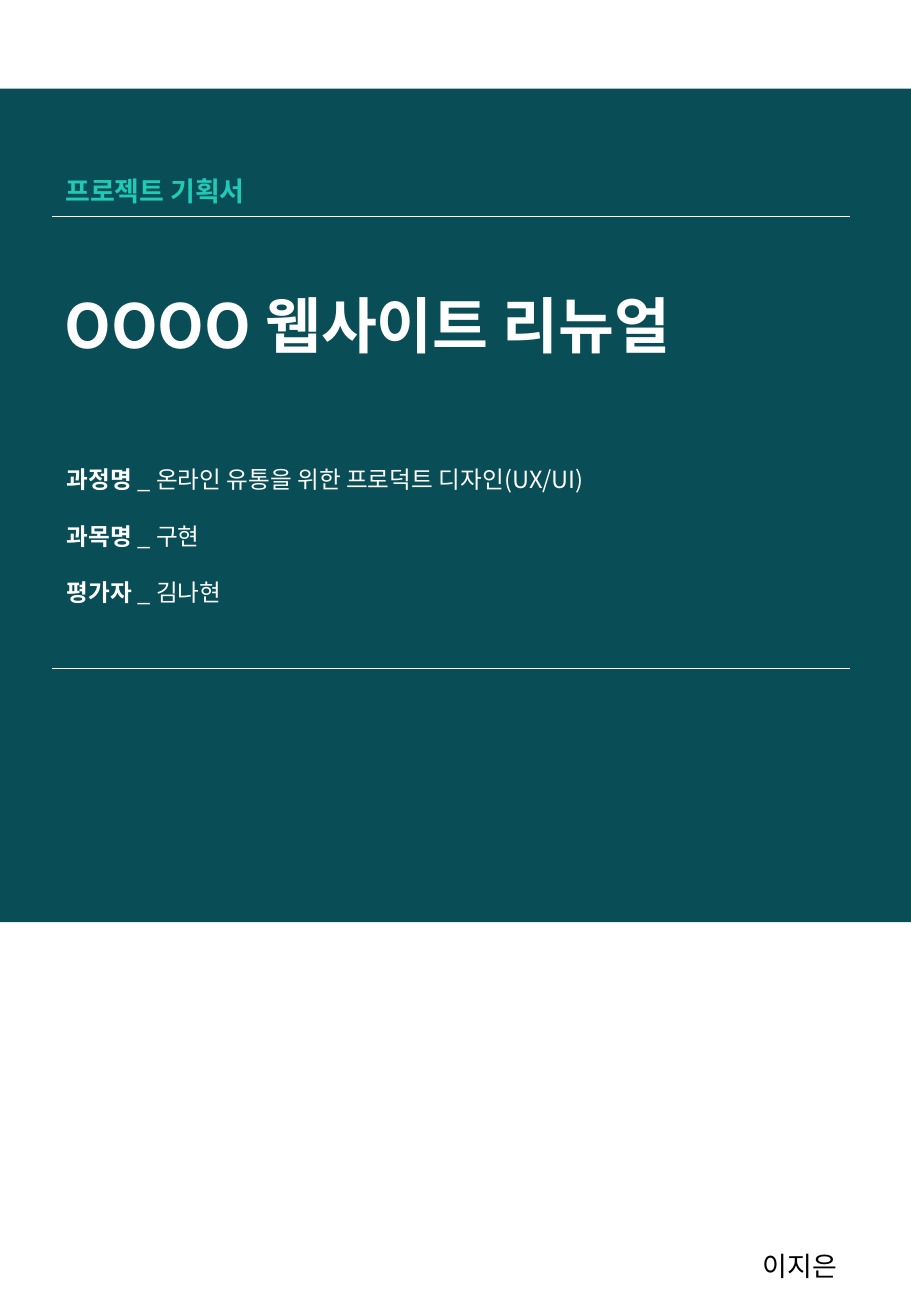
from pptx import Presentation
from pptx.dml.color import RGBColor
from pptx.enum.shapes import MSO_CONNECTOR, MSO_SHAPE
from pptx.enum.text import MSO_ANCHOR, MSO_AUTO_SIZE, PP_ALIGN
from pptx.util import Pt
from lxml.etree import SubElement
from pptx.oxml.ns import qn

PX = 9144
FONT = "Noto Sans CJK KR"
TEAL = RGBColor(0x09, 0x4D, 0x56)
MINT = RGBColor(0x21, 0xCA, 0xB6)
WHITE = RGBColor(0xFF, 0xFF, 0xFF)
BLACK = RGBColor(0x00, 0x00, 0x00)


def place(shape, left, top, width, height, wrap=True):
    shape.left, shape.top = left * PX, top * PX
    shape.width, shape.height = width * PX, height * PX
    frame = shape.text_frame
    frame.word_wrap = wrap
    frame.auto_size = MSO_AUTO_SIZE.SHAPE_TO_FIT_TEXT
    frame.vertical_anchor = MSO_ANCHOR.TOP
    return frame


def style(run, size, color, bold=False):
    font = run.font
    font.name, font.size, font.bold = FONT, Pt(size), bold
    font.color.rgb = color
    SubElement(font._element, qn("a:ea")).set("typeface", FONT)


deck = Presentation()
deck.slide_width, deck.slide_height = 750 * PX, 1083 * PX
slide = deck.slides.add_slide(deck.slide_layouts[1])
shapes = slide.shapes
title, body = shapes.title, slide.placeholders[1]

band = shapes.add_shape(MSO_SHAPE.RECTANGLE, 0, 73 * PX, 750 * PX, 686 * PX)
band.shadow.inherit = False
band.fill.solid()
band.fill.fore_color.rgb = TEAL
band.line.fill.background()
title.element.addprevious(band.element)

for y in (550, 178):
    rule = shapes.add_connector(MSO_CONNECTOR.STRAIGHT, 43 * PX, y * PX, 700 * PX, y * PX)
    rule.line.color.rgb = WHITE
    rule.line.width = Pt(0.25)
    SubElement(rule.element.spPr, qn("a:effectLst"))

label = shapes.add_textbox(0, 0, PX, PX)
name = shapes.add_textbox(0, 0, PX, PX)
for shape, box, wrap, text, size, color, bold in (
    (label, (44, 139, 686, 37), True, "프로젝트 기획서", 16, MINT, True),
    (title, (43, 232, 686, 71), True, "OOOO 웹사이트 리뉴얼", 36, WHITE, True),
    (name, (618, 1023, 88, 37), False, "이지은", 16, BLACK, False),
):
    frame = place(shape, *box, wrap)
    frame.text = text
    frame.paragraphs[0].alignment = PP_ALIGN.LEFT
    style(frame.paragraphs[0].runs[0], size, color, bold)

facts = (
    ("과정명", "온라인 유통을 위한 프로덕트 디자인(UX/UI)"),
    ("과목명", "구현"),
    ("평가자", "김나현"),
)
frame = place(body, 45, 354, 686, 151)
frame.text = "\n".join(head + " " for head, value in facts)
for para, (head, value) in zip(frame.paragraphs, facts):
    para.line_spacing = 2.0
    para.space_before = Pt(0)
    props = para._p.get_or_add_pPr()
    props.set("marL", "0")
    props.set("indent", "0")
    SubElement(props, qn("a:buNone"))
    style(para.runs[0], 14, WHITE, True)
    tail = para.add_run()
    tail.text = "_ " + value
    style(tail, 14, WHITE)

deck.save("out.pptx")
